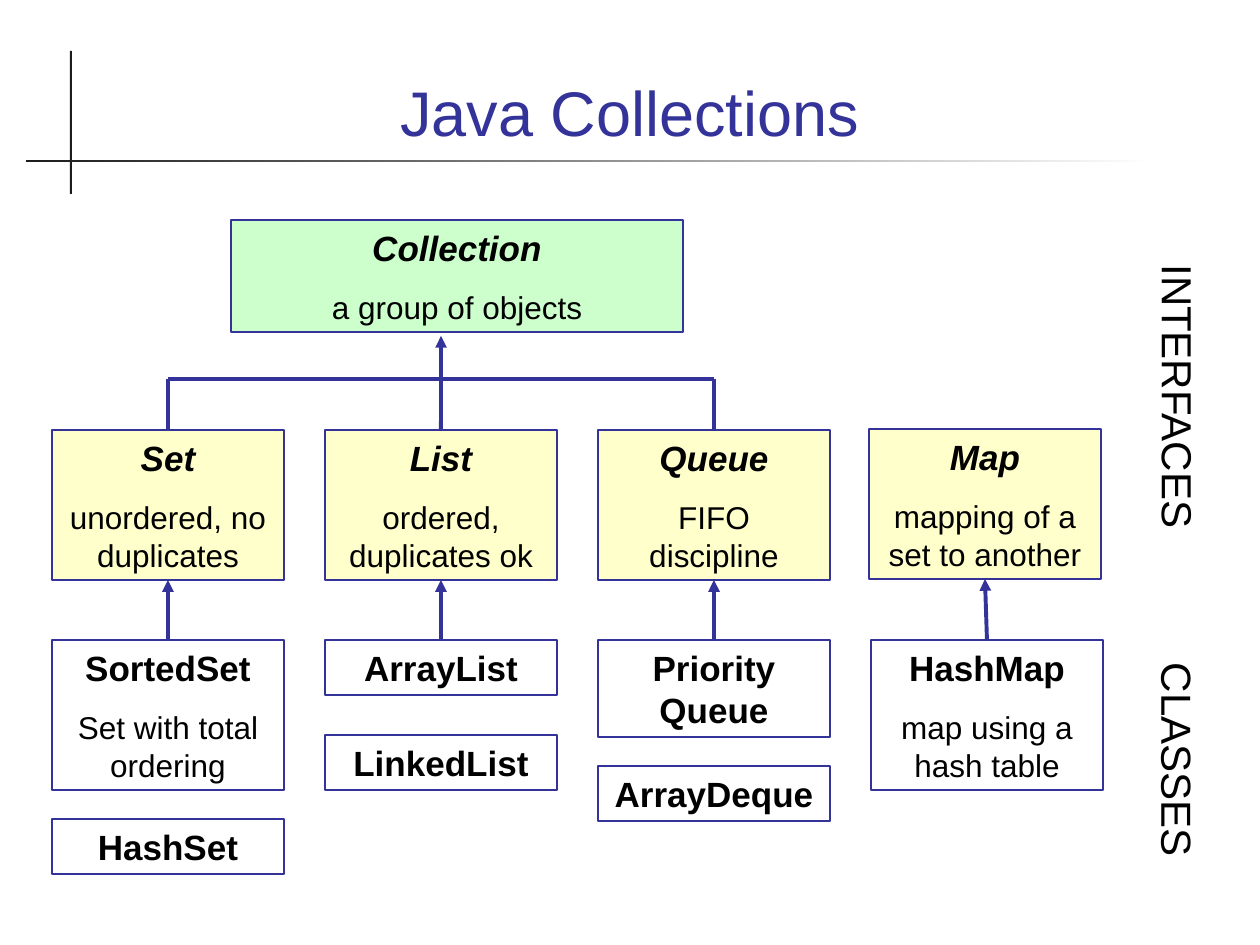
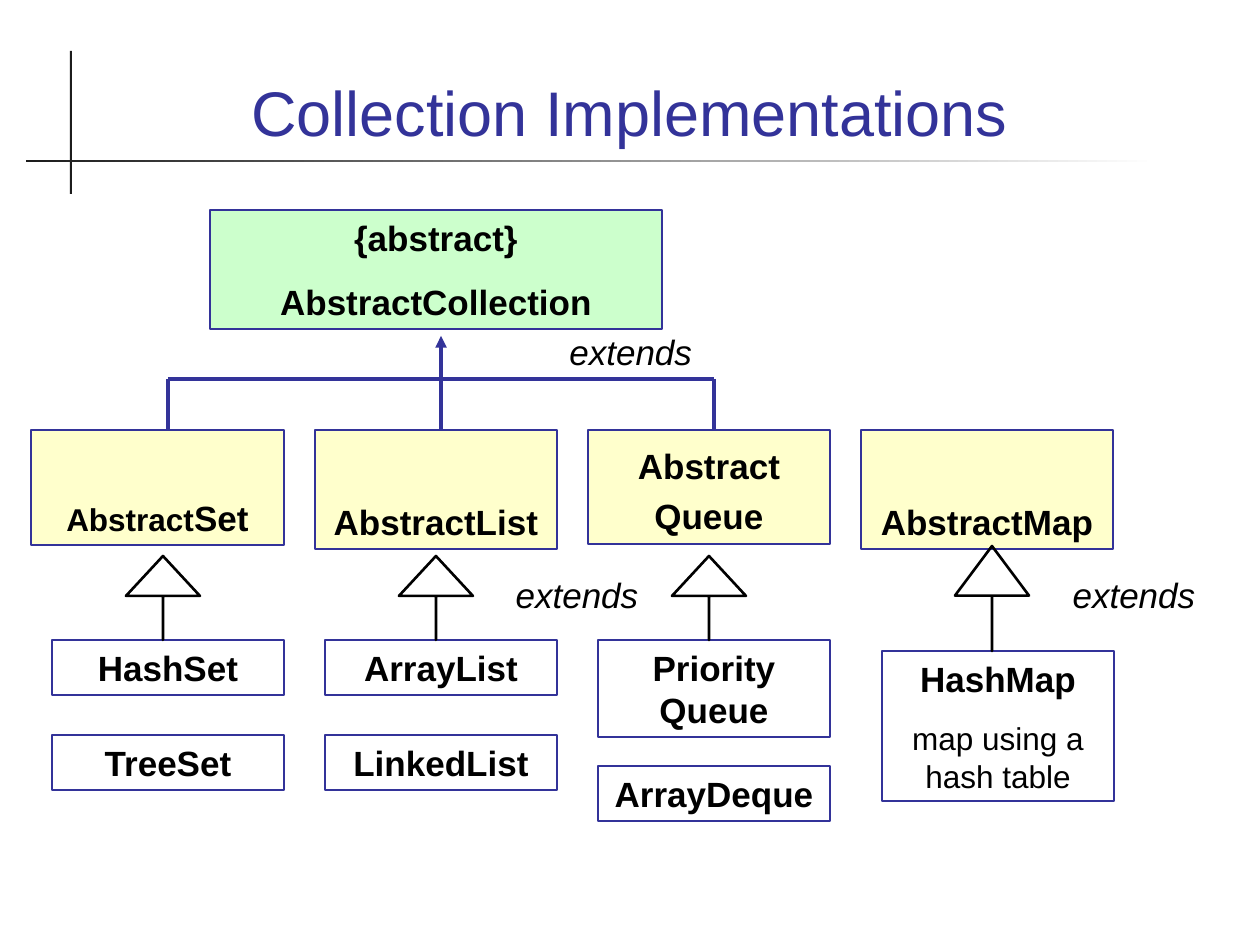
from lxml import etree
from pptx import Presentation
from pptx import util as u
from pptx.dml.color import RGBColor
from pptx.enum import shapes, text
from pptx.oxml.ns import qn

PX = u.Inches(1) / 126

INDIGO = RGBColor(0x33, 0x33, 0x99)
GREEN = RGBColor(0xCC, 0xFF, 0xCC)
YELLOW = RGBColor(0xFF, 0xFF, 0xCC)
INK = RGBColor(0x1C, 0x1C, 0x1C)
BLACK = RGBColor(0x00, 0x00, 0x00)
WHITE = RGBColor(0xFF, 0xFF, 0xFF)

TITLE = {"size": 36, "color": INDIGO}
SIDE = {"size": 24}
INTERFACE = {"size": 20, "bold": True, "italic": True}
CLASS = {"size": 20, "bold": True}
SMALL_CLASS = {"size": 18, "bold": True}
DETAIL = {"size": 18}
RELATION = {"size": 20, "italic": True}

COLUMN_LEFT, COLUMN_STEP, COLUMN_WIDTH = 52, 273, 232
COLUMNS = [COLUMN_LEFT + i * COLUMN_STEP for i in range(4)]
PARENT_TOP, CLASS_TOP, SECOND_TOP = 430, 640, 735
ONE_LINE, TWO_LINES, WITH_DETAIL = 55, 97, 150
FORK_TIP, FORK_BAR = 336, 379


def px(*lengths):
    return [u.Emu(round(length * PX)) for length in lengths]


def write(shape, paragraphs, align=text.PP_ALIGN.CENTER, anchor=text.MSO_ANCHOR.TOP,
          line_spacing=None, gap=11.2):
    """Fill a shape with paragraphs, each a list of (words, style) spans."""
    frame = shape.text_frame
    frame.word_wrap = True
    frame.vertical_anchor = anchor
    for i, spans in enumerate(paragraphs):
        para = frame.add_paragraph() if i else frame.paragraphs[0]
        para.alignment = align
        para.line_spacing = line_spacing
        if i:
            para.space_before = u.Pt(gap)
        for words, style in spans:
            span = para.add_run()
            span.text = words
            values = {"name": "Arial", "bold": False, "italic": False, **style}
            values["size"] = u.Pt(values["size"])
            span.font.color.rgb = values.pop("color", BLACK)
            for key, value in values.items():
                setattr(span.font, key, value)


def add_label(page, area, words, style, **layout):
    label = page.shapes.add_textbox(*px(*area))
    write(label, [[(words, style)]], **layout)
    return label


def add_preset(page, preset, area, fill=None, line=None):
    shape = page.shapes.add_shape(preset, *px(*area))
    shape.shadow.inherit = False
    if fill is None:
        shape.fill.background()
    else:
        shape.fill.solid()
        shape.fill.fore_color.rgb = fill
    if line is None:
        shape.line.fill.background()
    else:
        shape.line.color.rgb = line
        shape.line.width = u.Pt(1.5)
    return shape


def add_box(page, area, paragraphs, fill=None, **layout):
    box = add_preset(page, shapes.MSO_SHAPE.RECTANGLE, area, fill, INDIGO)
    write(box, paragraphs, **layout)
    return box


def add_class(page, column, top, name, height=ONE_LINE, detail=None):
    paragraphs = [[(name, CLASS)]]
    if detail:
        paragraphs.append([(detail, DETAIL)])
    return add_box(page, (column, top, COLUMN_WIDTH, height), paragraphs)


def add_line(page, start, end, arrow=False):
    line = page.shapes.add_connector(shapes.MSO_CONNECTOR.STRAIGHT, *px(*start, *end))
    line.line.color.rgb = INDIGO
    line.line.width = u.Pt(2.25)
    if arrow:
        etree.SubElement(line.line._get_or_add_ln(), qn("a:tailEnd"), type="triangle")
    etree.SubElement(line._element.spPr, qn("a:effectLst"))
    return line


def add_fork(page, children=()):
    """Draw the tree that leads from three columns up to their parent."""
    centres = [column + COLUMN_WIDTH // 2 for column in COLUMNS[:3]]
    add_line(page, (centres[0], FORK_BAR), (centres[-1], FORK_BAR))
    add_line(page, (centres[1], FORK_BAR), (centres[1], FORK_TIP), arrow=True)
    drops = [add_line(page, (x, FORK_BAR), (x, PARENT_TOP)) for x in centres]
    for drop, child in zip(drops, children):
        drop.end_connect(child, 0)


def add_framed_slide(deck, title):
    """Add a blank slide with the crossed rules and the title."""
    page = deck.slides.add_slide(deck.slide_layouts[6])
    rectangle = shapes.MSO_SHAPE.RECTANGLE
    add_preset(page, rectangle, (70, 51, 2, 143), INK)
    rule = add_preset(page, rectangle, (26, 160, 1131, 2), INK)
    rule.fill.gradient()
    rule.fill.gradient_angle = 0
    for stop, color in zip(rule.fill.gradient_stops, (INK, WHITE)):
        stop.color.rgb = color
    add_label(page, (84, 35, 1091, 120), title, TITLE, anchor=text.MSO_ANCHOR.BOTTOM)
    return page


def add_queue_and_list_classes(page):
    """Add the list and queue classes; return the top box of each column."""
    array_list = add_class(page, COLUMNS[1], CLASS_TOP, "ArrayList")
    add_class(page, COLUMNS[1], SECOND_TOP, "LinkedList")
    priority = add_class(page, COLUMNS[2], CLASS_TOP, "Priority Queue", TWO_LINES)
    add_class(page, COLUMNS[2], 766, "ArrayDeque")
    return array_list, priority


def build_collections(deck):
    page = add_framed_slide(deck, "Java Collections")
    add_box(page, (231, 220, 452, 112),
            [[("Collection", INTERFACE)], [("a group of objects", DETAIL)]], GREEN)
    interfaces = [
        add_box(page, (left, top, COLUMN_WIDTH, WITH_DETAIL),
                [[(name, INTERFACE)], [(detail, DETAIL)]], YELLOW)
        for left, top, name, detail in (
            (COLUMNS[0], PARENT_TOP, "Set", "unordered, no duplicates"),
            (COLUMNS[1], PARENT_TOP, "List", "ordered, duplicates ok"),
            (COLUMNS[2], PARENT_TOP, "Queue", "FIFO discipline"),
            (869, 429, "Map", "mapping of a set to another"))]
    sorted_set = add_class(page, COLUMNS[0], CLASS_TOP, "SortedSet", WITH_DETAIL,
                           "Set with total ordering")
    add_class(page, COLUMNS[0], 819, "HashSet")
    array_list, priority = add_queue_and_list_classes(page)
    hash_map = add_class(page, COLUMNS[3], CLASS_TOP, "HashMap", WITH_DETAIL,
                         "map using a hash table")
    add_fork(page, interfaces)
    for child, parent in zip((sorted_set, array_list, priority, hash_map), interfaces):
        arrow = add_line(page, (0, 0), (0, 0), arrow=True)
        arrow.begin_connect(child, 0)
        arrow.end_connect(parent, 2)
    for words, area in (("INTERFACES", (1016, 383, 325, 63)),
                        ("CLASSES", (1057, 740, 242, 63))):
        add_label(page, area, words, SIDE, align=text.PP_ALIGN.LEFT).rotation = 90


def build_implementations(deck):
    page = add_framed_slide(deck, "Collection Implementations")
    add_box(page, (210, 210, 452, 119),
            [[("{abstract}", CLASS)], [("AbstractCollection", CLASS)]], GREEN, gap=12.5)
    low = {"anchor": text.MSO_ANCHOR.BOTTOM}
    for left, width, height, spans, layout in (
            (31, 253, 115, [("Abstract", SMALL_CLASS), ("Set", CLASS)], low),
            (315, 242, 119, [("AbstractList", CLASS)], low),
            (588, 242, 114, [("Abstract Queue", CLASS)], {"line_spacing": 1.2}),
            (861, 252, 119, [("AbstractMap", CLASS)], low)):
        add_box(page, (left, PARENT_TOP, width, height), [spans], YELLOW, **layout)
    add_class(page, COLUMNS[0], CLASS_TOP, "HashSet")
    add_class(page, COLUMNS[0], SECOND_TOP, "TreeSet")
    add_queue_and_list_classes(page)
    add_class(page, 882, 651, "HashMap", WITH_DETAIL, "map using a hash table")
    add_fork(page)
    arrows = [(column + 74, 556, 84, 0.54) for column in COLUMNS[:3]]
    for left, top, height, head in arrows + [(955, 546, 105, 0.67)]:
        arrow = add_preset(page, shapes.MSO_SHAPE.UP_ARROW, (left, top, 74, height),
                           line=BLACK)
        arrow.adjustments[0] = 0
        arrow.adjustments[1] = head
    for left, top, align in ((557, 324, text.PP_ALIGN.LEFT),
                             (451, 567, text.PP_ALIGN.CENTER),
                             (1008, 567, text.PP_ALIGN.CENTER)):
        add_label(page, (left, top, 252, ONE_LINE), "extends", RELATION, align=align)


def main():
    deck = Presentation()
    deck.slide_width, deck.slide_height = px(1260, 945)
    build_collections(deck)
    build_implementations(deck)
    deck.save("out.pptx")


if __name__ == "__main__":
    main()
